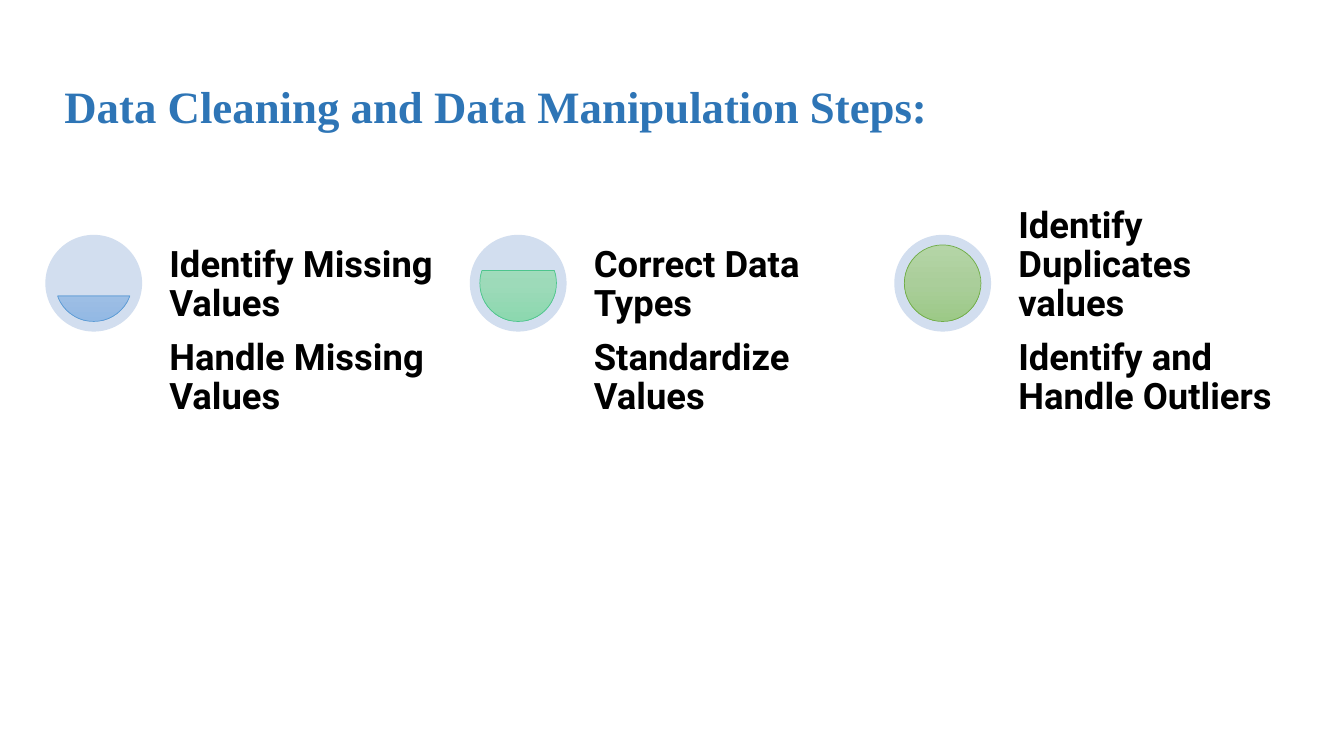
import copy
import math

from pptx import Presentation
from pptx.dml.color import RGBColor
from pptx.enum.shapes import MSO_SHAPE
from pptx.enum.text import MSO_ANCHOR, MSO_AUTO_SIZE
from pptx.util import Inches, Pt

ELLIPSE, CHORD = MSO_SHAPE.OVAL, MSO_SHAPE.CHORD
TOP, BOTTOM = MSO_ANCHOR.TOP, MSO_ANCHOR.BOTTOM
GROW = MSO_AUTO_SIZE.SHAPE_TO_FIT_TEXT

BLACK = RGBColor(0x00, 0x00, 0x00)
TITLE_BLUE = RGBColor(0x2E, 0x75, 0xB6)
PALE_BLUE = RGBColor(0xD2, 0xDE, 0xEF)
BLUE_LINE = RGBColor(0x5B, 0x9B, 0xD5)
BLUE_STOPS = (RGBColor(0xB1, 0xCB, 0xE9), RGBColor(0xA3, 0xC1, 0xE5), RGBColor(0x93, 0xB9, 0xE4))
TEAL_LINE = RGBColor(0x4D, 0xC5, 0x8D)
TEAL_STOPS = (RGBColor(0xAB, 0xE0, 0xC3), RGBColor(0x9D, 0xDA, 0xB9), RGBColor(0x8C, 0xD8, 0xAF))
GREEN_LINE = RGBColor(0x70, 0xAD, 0x47)
GREEN_STOPS = (RGBColor(0xB5, 0xD5, 0xA7), RGBColor(0xAA, 0xCE, 0x9A), RGBColor(0x9C, 0xC9, 0x87))

STEPS = [
    ("Identify Missing Values", "Handle Missing Values", BLUE_LINE, BLUE_STOPS),
    ("Correct Data Types", "Standardize Values", TEAL_LINE, TEAL_STOPS),
    ("Identify Duplicates values", "Identify and Handle Outliers", GREEN_LINE, GREEN_STOPS),
]
STEPS_LEFT, STEPS_TOP, STEP_PITCH = 0.45, 2.33, 4.21
DISC_SIZE, DISC_MARGIN = 0.96, 0.1
LABEL_OFFSET, LABEL_WIDTH, DETAIL_HEIGHT = 1.16, 2.85, 4.05


def add_text(slide, box, text, font_name, size, color):
    """Add a wrapped text box holding one bold run and return its frame."""
    frame = slide.shapes.add_textbox(*map(Inches, box)).text_frame
    frame.word_wrap = True
    run = frame.paragraphs[0].add_run()
    run.text = text
    run.font.name, run.font.size, run.font.bold = font_name, Pt(size), True
    run.font.color.rgb = color
    return frame


def add_title(slide, box):
    """Add the slide title."""
    frame = add_text(slide, box, "Data Cleaning and Data Manipulation Steps:",
                     "Times New Roman", 32, TITLE_BLUE)
    frame.auto_size = GROW


def add_label(slide, box, text, anchor):
    """Add a step label with narrow insets and tight lines."""
    frame = add_text(slide, box, text, "Roboto", 26, BLACK)
    frame.vertical_anchor = anchor
    frame.margin_left = frame.margin_right = Inches(0.07)
    frame.margin_top = frame.margin_bottom = Inches(0.07)
    frame.paragraphs[0].line_spacing = 0.9


def fill_downward(shape, colors):
    """Fill a shape with a three-stop gradient from top to bottom."""
    shape.fill.gradient()
    shape.fill.gradient_angle = 270
    stops = shape.fill.gradient_stops
    for stop, color in zip(stops, (colors[0], colors[2])):
        stop.color.rgb = color
    first = shape._element.spPr.xpath("./a:gradFill/a:gsLst/a:gs")[0]
    middle = copy.deepcopy(first)
    middle.set("pos", "50000")
    first.addnext(middle)
    shape.fill.gradient_stops[1].color.rgb = colors[1]


def add_gauge(slide, left, top, size, level, line_color, colors):
    """Add a disc filled from the bottom up to the given level."""
    disc = slide.shapes.add_shape(ELLIPSE, *map(Inches, (left, top, size, size)))
    disc.shadow.inherit = False
    disc.fill.solid()
    disc.fill.fore_color.rgb = PALE_BLUE
    disc.line.fill.background()

    inner = size - 2 * DISC_MARGIN
    box = (left + DISC_MARGIN, top + DISC_MARGIN, inner, inner)
    liquid = slide.shapes.add_shape(CHORD, *map(Inches, box))
    liquid.shadow.inherit = False
    angle = math.degrees(math.asin(1 - 2 * level))
    liquid.adjustments[0] = angle % 360 * 0.6
    liquid.adjustments[1] = (180 - angle) * 0.6
    fill_downward(liquid, colors)
    liquid.line.color.rgb = line_color
    liquid.line.width = Pt(0.5)


def add_step(slide, left, top, level, step):
    """Add one step column: its gauge, heading and detail."""
    heading, detail, line_color, colors = step
    add_gauge(slide, left, top, DISC_SIZE, level, line_color, colors)
    label_left = left + LABEL_OFFSET
    add_label(slide, (label_left, top + DISC_SIZE, LABEL_WIDTH, DETAIL_HEIGHT), detail, TOP)
    add_label(slide, (label_left, top, LABEL_WIDTH, DISC_SIZE), heading, BOTTOM)


def main():
    """Build the slide and save it."""
    presentation = Presentation()
    presentation.slide_width, presentation.slide_height = Inches(13.33), Inches(7.5)
    slide = presentation.slides.add_slide(presentation.slide_layouts[6])
    for index, step in enumerate(STEPS):
        level = (index + 1) / len(STEPS)
        add_step(slide, STEPS_LEFT + index * STEP_PITCH, STEPS_TOP, level, step)
    add_title(slide, (0.54, 0.73, 9.05, 0.64))
    presentation.save("out.pptx")


if __name__ == "__main__":
    main()
